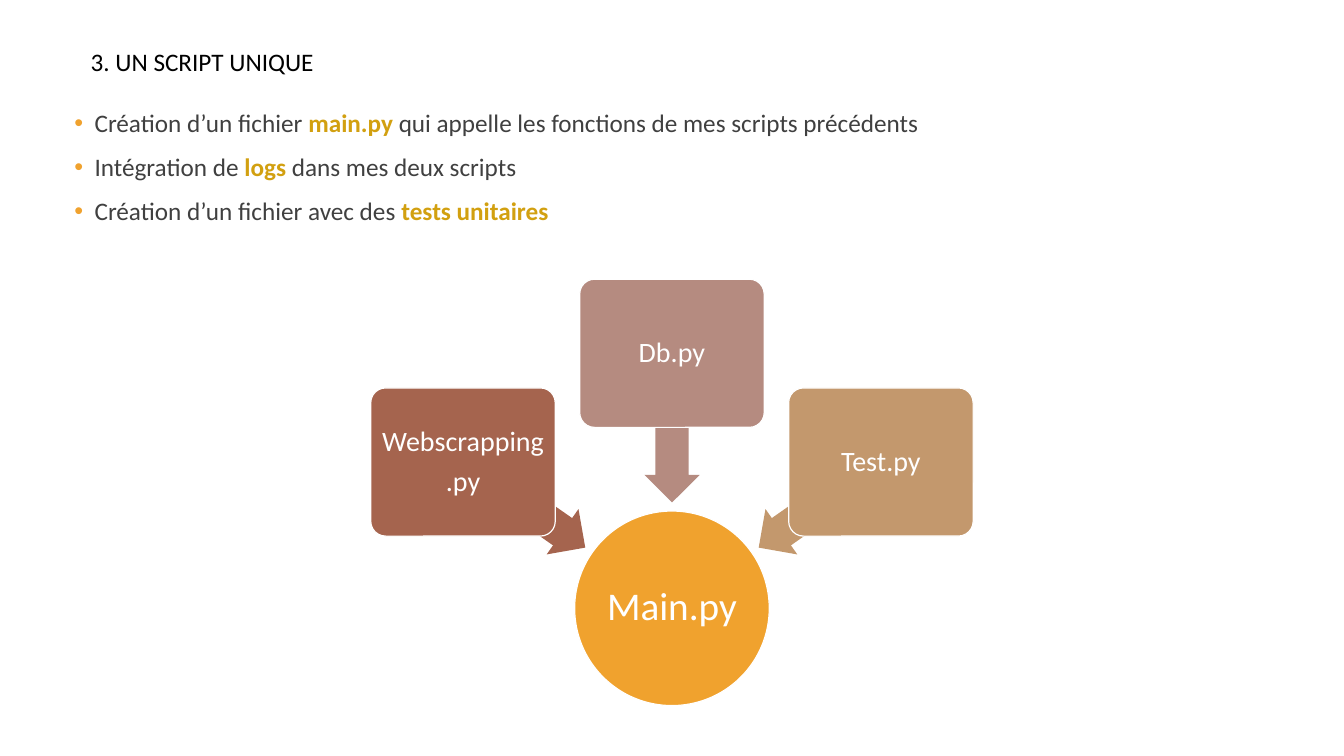
from dataclasses import dataclass
from math import cos, radians, sin

from lxml.etree import SubElement
from pptx import Presentation
from pptx.dml.color import RGBColor
from pptx.enum.shapes import MSO_SHAPE
from pptx.enum.text import MSO_ANCHOR, PP_ALIGN
from pptx.oxml.ns import qn
from pptx.util import Pt

EMU_PER_PX = 9144


@dataclass(frozen=True)
class Theme:
    """Colours, font and type sizes of the slide."""
    font: str = "Calibri"
    title: str = "000000"
    body: str = "404040"
    accent: str = "D2A010"
    orange: str = "F0A22E"
    rust: str = "A5644E"
    rose: str = "B58B80"
    tan: str = "C3986D"
    white: str = "FFFFFF"
    text_size: int = 18
    card_size: int = 20
    hub_size: int = 28


THEME = Theme()

BULLETS = [
    [("Création d’un fichier ", False), ("main.py ", True),
     ("qui appelle les fonctions de mes scripts précédents", False)],
    [("Intégration de", False), (" logs ", True), ("dans mes deux scripts", False)],
    [("Création d’un fichier avec des ", False), ("tests unitaires", True)],
]
SCRIPTS = [
    (215, ["Webscrapping", ".py"], THEME.rust),
    (270, ["Db.py"], THEME.rose),
    (325, ["Test.py"], THEME.tan),
]


def px(value):
    """Turn px into EMU."""
    return round(value * EMU_PER_PX)


def add_span(para, text, size, colour, bold=False):
    """Append one styled run to a paragraph."""
    span = para.add_run()
    span.text = text
    span.font.name = THEME.font
    span.font.size = Pt(size)
    span.font.bold = bold
    span.font.color.rgb = RGBColor.from_string(colour)


def add_text_frame(page, box):
    """Add a wrapping text box and return its frame."""
    frame = page.shapes.add_textbox(*map(px, box)).text_frame
    frame.word_wrap = True
    return frame


def add_title(page, box, text):
    """Place the slide title."""
    add_span(add_text_frame(page, box).paragraphs[0], text, THEME.text_size, THEME.title)


def set_bullet(para, indent):
    """Give a paragraph a coloured bullet and a hanging indent."""
    properties = para._p.get_or_add_pPr()
    properties.set("marL", str(px(indent)))
    properties.set("indent", str(-px(indent)))
    colour = SubElement(properties, qn("a:buClr"))
    SubElement(colour, qn("a:srgbClr"), val=THEME.orange)
    SubElement(properties, qn("a:buFont"), typeface="Arial")
    SubElement(properties, qn("a:buChar"), char="•")


def add_bullets(page, box, items):
    """Place the bulleted list with its highlighted words."""
    frame = add_text_frame(page, box)
    for index, item in enumerate(items):
        para = frame.add_paragraph() if index else frame.paragraphs[0]
        para.line_spacing = 0.9
        para.space_before = Pt(12)
        set_bullet(para, 20)
        for text, strong in item:
            colour = THEME.accent if strong else THEME.body
            add_span(para, text, THEME.text_size, colour, strong)


def add_node(group, kind, centre, size, colour, outlined=True):
    """Add a filled shape around a centre point."""
    (x, y), (width, height) = centre, size
    node = group.shapes.add_shape(
        kind, px(x - width / 2), px(y - height / 2), px(width), px(height))
    node.shadow.inherit = False
    node.fill.solid()
    node.fill.fore_color.rgb = RGBColor.from_string(colour)
    if outlined:
        node.line.color.rgb = RGBColor.from_string(THEME.white)
        node.line.width = Pt(0.85)
    else:
        node.line.fill.background()
    return node


def label_node(node, lines, size, inset):
    """Write centred white lines inside a shape."""
    frame = node.text_frame
    frame.word_wrap = True
    frame.vertical_anchor = MSO_ANCHOR.MIDDLE
    frame.margin_left = frame.margin_right = px(inset)
    frame.margin_top = frame.margin_bottom = px(inset)
    for index, line in enumerate(lines):
        para = frame.add_paragraph() if index else frame.paragraphs[0]
        para.alignment = PP_ALIGN.CENTER
        para.line_spacing = 0.9
        para.space_after = Pt(size * 0.35)
        add_span(para, line, size, THEME.white)


def add_converging_diagram(page, box, hub_label, scripts):
    """Place a hub at the foot of the box, with cards pointing to it."""
    left, top, width, height = box
    hub_size, card_size, arrow_size = (193, 193), (183, 147), (148, 55)
    hub = (left + width / 2, top + height - hub_size[1] / 2)
    card_reach = hub[1] - top - card_size[1] / 2
    arrow_reach = 179
    group = page.shapes.add_group_shape()

    def around_hub(angle, reach):
        """Return the point at an angle and distance from the hub."""
        turn = radians(angle)
        return hub[0] + reach * cos(turn), hub[1] + reach * sin(turn)

    circle = add_node(group, MSO_SHAPE.OVAL, hub, hub_size, THEME.orange)
    label_node(circle, [hub_label], THEME.hub_size, 2)
    for angle, lines, colour in scripts:
        arrow = add_node(group, MSO_SHAPE.LEFT_ARROW, around_hub(angle, arrow_reach),
                         arrow_size, colour, outlined=False)
        arrow.adjustments[0] = 0.6
        arrow.adjustments[1] = 0.5
        arrow.rotation = angle
        card = add_node(group, MSO_SHAPE.ROUNDED_RECTANGLE,
                        around_hub(angle, card_reach), card_size, colour)
        card.adjustments[0] = 0.1
        label_node(card, lines, THEME.card_size, 4)


def main():
    """Build and save the deck."""
    deck = Presentation()
    deck.slide_width, deck.slide_height = px(1333), px(750)
    page = deck.slides.add_slide(deck.slide_layouts[6])
    add_title(page, (80, 41, 1211, 40), "3. UN SCRIPT UNIQUE")
    add_bullets(page, (64, 105, 1066, 240), BULLETS)
    add_converging_diagram(page, (368, 277, 597, 423), "Main.py", SCRIPTS)
    deck.save("out.pptx")


if __name__ == "__main__":
    main()
